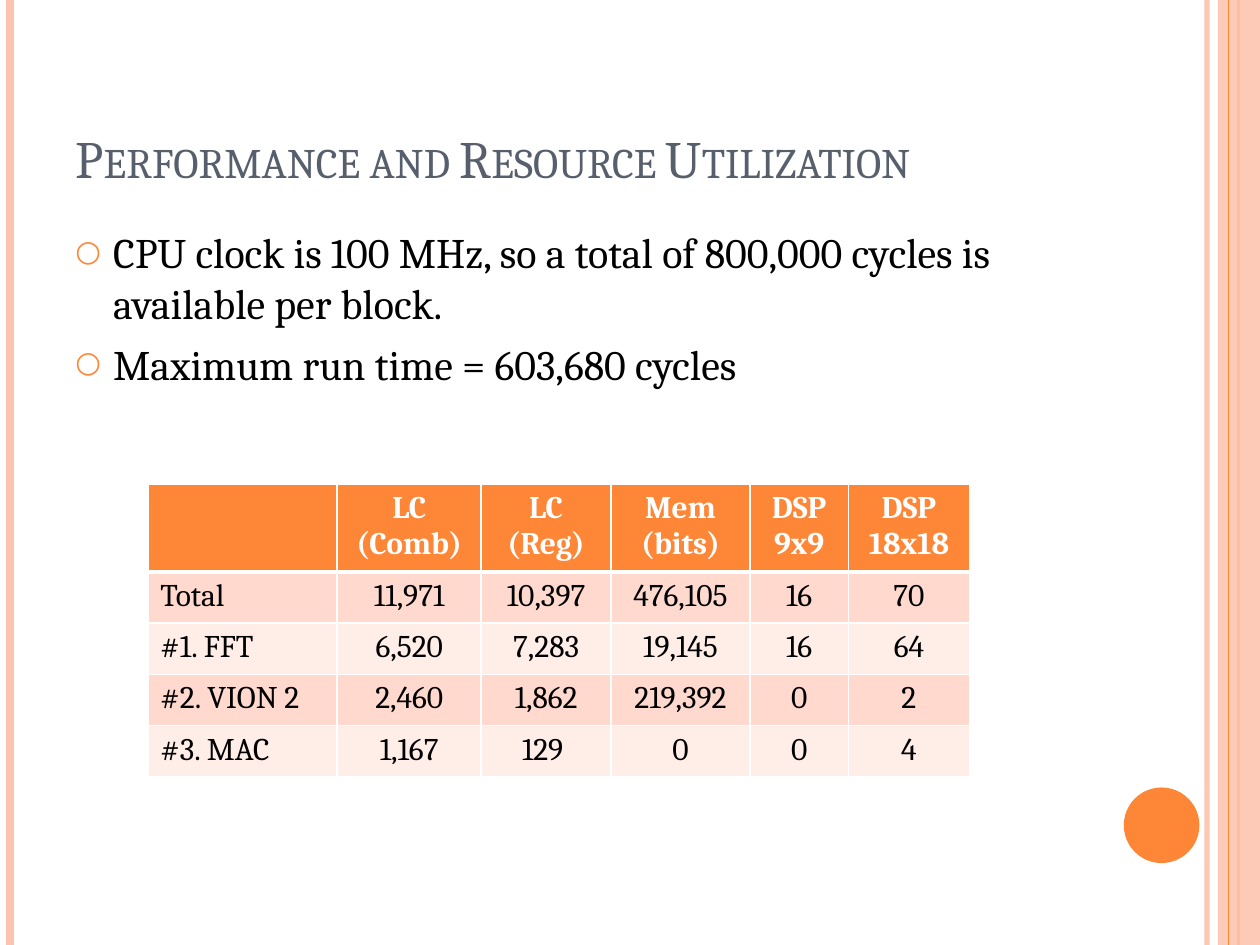
from dataclasses import dataclass
from typing import Any, Optional

from lxml.etree import SubElement
from pptx import Presentation
from pptx.dml.color import RGBColor
from pptx.enum.shapes import MSO_CONNECTOR, MSO_SHAPE
from pptx.enum.text import MSO_ANCHOR, MSO_AUTO_SIZE, PP_ALIGN
from pptx.oxml.ns import qn
from pptx.util import Pt

COLORS = {
    "accent": "FE8637",
    "peach": "FEC3AE",
    "title": "575F6D",
    "text": "000000",
    "white": "FFFFFF",
    "band_dark": "FFD9CE",
    "band_light": "FFEDE8",
}
FONT = "Cambria"
SLIDE_WIDTH, SLIDE_HEIGHT = 720, 540


@dataclass(frozen=True)
class Stripe:
    x: float
    color: str
    width: float
    opacity: int = 100


@dataclass(frozen=True)
class Panel:
    preset: MSO_SHAPE
    box: tuple[float, float, float, float]
    color: str
    opacity: int = 100


STRIPES_BELOW = [
    Stripe(689.8, "peach", 3, 93),
    Stripe(5.8, "peach", 4.5),
    Stripe(707.8, "accent", 1.5),
]
SIDE_BAND = Panel(MSO_SHAPE.RECTANGLE, (696, 0, 24, SLIDE_HEIGHT), "peach", 87)
STRIPE_ABOVE = Stripe(702, "accent", 0.75)
PAGE_DISC = Panel(MSO_SHAPE.OVAL, (642.2, 450, 43.2, 43.2), "accent")

POINTS = [
    "CPU clock is 100 MHz, so a total of 800,000 cycles is available per block.",
    "Maximum run time = 603,680 cycles",
]
COLUMN_WIDTHS = [108.2, 82.3, 74.2, 79.4, 56.2, 69.3]
HEADER_HEIGHT, ROW_HEIGHT = 47.6, 29.2
USAGE = [
    ["", "LC\n(Comb)", "LC\n(Reg)", "Mem\n(bits)", "DSP\n9x9", "DSP\n18x18"],
    ["Total", "11,971", "10,397", "476,105", "16", "70"],
    ["#1. FFT", "6,520", "7,283", "19,145", "16", "64"],
    ["#2. VION 2", "2,460", "1,862", "219,392", "0", "2"],
    ["#3. MAC", "1,167", "129 ", "0", "0", "4"],
]


def rgb(name: str) -> RGBColor:
    return RGBColor.from_string(COLORS[name])


def set_opacity(parent: Any, percent: int) -> None:
    if percent < 100:
        color = next(parent.iter(qn("a:srgbClr")))
        SubElement(color, qn("a:alpha"), val=str(percent * 1000))


def write(frame: Any, text: str, *, size: float, color: str = "text", bold: bool = False,
          align: PP_ALIGN = PP_ALIGN.LEFT, small_caps: bool = False,
          space_before: float = 0, bullet: Optional[str] = None) -> None:
    frame.text = text
    for paragraph in frame.paragraphs:
        paragraph.alignment = align
        paragraph.space_before = Pt(space_before)
        if bullet:
            add_bullet(paragraph, bullet)
        for run in paragraph.runs:
            run.font.name = FONT
            run.font.size = Pt(size)
            run.font.bold = bold
            run.font.color.rgb = rgb(color)
            if small_caps:
                run.font._element.set("cap", "small")


def add_bullet(paragraph: Any, symbol: str, indent: float = 21.6) -> None:
    properties = paragraph._p.get_or_add_pPr()
    properties.set("marL", str(Pt(indent)))
    properties.set("indent", str(-Pt(indent)))
    bullet_color = SubElement(properties, qn("a:buClr"))
    SubElement(bullet_color, qn("a:srgbClr"), val=COLORS["accent"])
    SubElement(properties, qn("a:buSzPct"), val="70000")
    SubElement(properties, qn("a:buFont"), typeface=FONT)
    SubElement(properties, qn("a:buChar"), char=symbol)


def draw_stripe(slide: Any, stripe: Stripe) -> None:
    line = slide.shapes.add_connector(
        MSO_CONNECTOR.STRAIGHT, Pt(stripe.x), Pt(0), Pt(stripe.x), Pt(SLIDE_HEIGHT))
    line.line.color.rgb = rgb(stripe.color)
    line.line.width = Pt(stripe.width)
    set_opacity(line._element.spPr, stripe.opacity)
    SubElement(line._element.spPr, qn("a:effectLst"))


def draw_panel(slide: Any, panel: Panel) -> None:
    shape = slide.shapes.add_shape(panel.preset, *map(Pt, panel.box))
    shape.shadow.inherit = False
    shape.fill.solid()
    shape.fill.fore_color.rgb = rgb(panel.color)
    set_opacity(shape._element.spPr, panel.opacity)
    shape.line.fill.background()


def add_border(cell: Any, side: str, width: float) -> None:
    border = SubElement(cell._tc.get_or_add_tcPr(), qn(f"a:ln{side}"), w=str(Pt(width)))
    fill = SubElement(border, qn("a:solidFill"))
    SubElement(fill, qn("a:srgbClr"), val=COLORS["white"])


def draw_usage_table(slide: Any) -> None:
    height = HEADER_HEIGHT + ROW_HEIGHT * (len(USAGE) - 1)
    table = slide.shapes.add_table(
        len(USAGE), len(COLUMN_WIDTHS), Pt(84.5), Pt(276.5),
        Pt(sum(COLUMN_WIDTHS)), Pt(height)).table
    table.horz_banding = False
    for column, width in zip(table.columns, COLUMN_WIDTHS):
        column.width = Pt(width)
    for row_index, values in enumerate(USAGE):
        header = row_index == 0
        table.rows[row_index].height = Pt(HEADER_HEIGHT if header else ROW_HEIGHT)
        band = "band_dark" if row_index % 2 else "band_light"
        for column_index, value in enumerate(values):
            cell = table.cell(row_index, column_index)
            write(cell.text_frame, value, size=18, bold=header,
                  color="white" if header else "text",
                  align=PP_ALIGN.CENTER if column_index else PP_ALIGN.LEFT)
            widths = {"L": 1, "R": 1, "T": 3 if row_index == 1 else 1, "B": 3 if header else 1}
            for side, width in widths.items():
                add_border(cell, side, width)
            cell.fill.solid()
            cell.fill.fore_color.rgb = rgb("accent" if header else band)


def main() -> None:
    deck = Presentation()
    deck.slide_width, deck.slide_height = Pt(SLIDE_WIDTH), Pt(SLIDE_HEIGHT)
    slide = deck.slides.add_slide(deck.slide_layouts[5])

    for stripe in STRIPES_BELOW:
        draw_stripe(slide, stripe)
    draw_panel(slide, SIDE_BAND)
    draw_stripe(slide, STRIPE_ABOVE)
    draw_panel(slide, PAGE_DISC)

    title = slide.shapes.title
    title.left, title.top, title.width, title.height = map(Pt, (36, 21.6, 588, 90))
    title.text_frame.vertical_anchor = MSO_ANCHOR.BOTTOM
    title.text_frame.auto_size = MSO_AUTO_SIZE.NONE
    write(title.text_frame, "Performance and Resource Utilization",
          size=30, color="title", small_caps=True)

    points = slide.shapes.add_textbox(Pt(36), Pt(126), Pt(588), Pt(126)).text_frame
    points.word_wrap = True
    write(points, "\n".join(POINTS), size=24, space_before=6, bullet="○")

    draw_usage_table(slide)
    deck.save("out.pptx")


if __name__ == "__main__":
    main()
